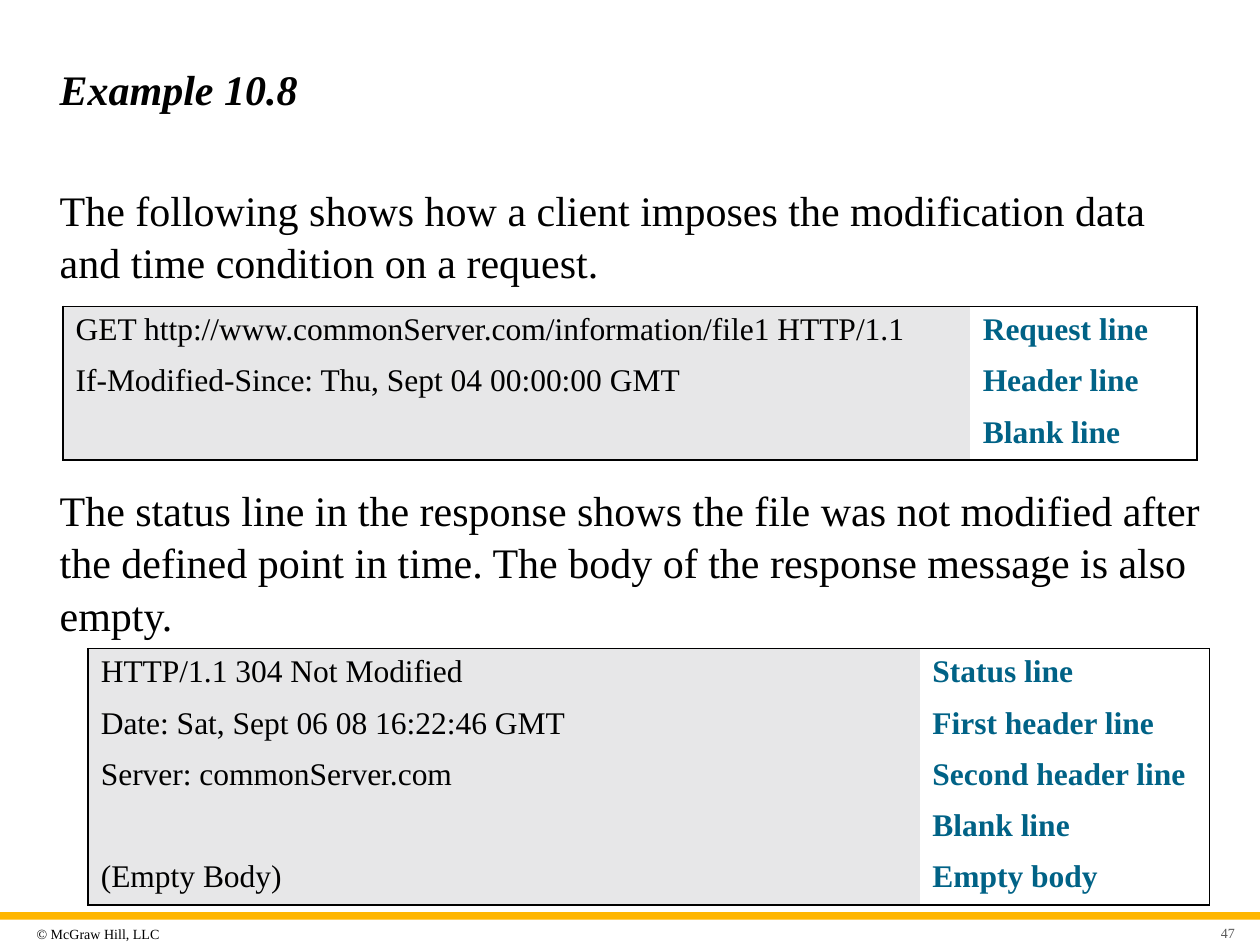
import pptx
import pptx.util
import pptx.dml.color
import pptx.enum.shapes
import pptx.enum.text
import pptx.oxml
import pptx.oxml.ns
from lxml import etree

Pt = pptx.util.Pt
ALIGN = pptx.enum.text.PP_ALIGN
ANCHOR = pptx.enum.text.MSO_ANCHOR
qn = pptx.oxml.ns.qn

FONT = "Times New Roman"
COLORS = {"text": "000000", "label": "006286", "code": "E7E7E8",
          "bar": "FFB600", "number": "595959"}
NO_GRID_STYLE = "{2D5ABB26-0587-4C30-8999-92F81FD0307C}"
ROW_HEIGHT = 29.3

REQUEST = [
    ("GET http://www.commonServer.com/information/file1 HTTP/1.1", "Request line"),
    ("If-Modified-Since: Thu, Sept 04 00:00:00 GMT", "Header line"),
    ("", "Blank line"),
]
RESPONSE = [
    ("HTTP/1.1 304 Not Modified", "Status line"),
    ("Date: Sat, Sept 06 08 16:22:46 GMT", "First header line"),
    ("Server: commonServer.com", "Second header line"),
    ("", "Blank line"),
    ("(Empty Body)", "Empty body"),
]


def rgb(name):
    return pptx.dml.color.RGBColor.from_string(COLORS[name])


def set_font(p, size, color="text", bold=False, italic=False):
    f = p.font
    f.name, f.size, f.bold, f.italic = FONT, Pt(size), bold, italic
    f.color.rgb = rgb(color)


def add_text(slide, box, text, size, color="text", bold=False, italic=False,
             anchor=ANCHOR.TOP, align=ALIGN.LEFT, margins=None, spacing=None,
             wrap=True):
    tf = slide.shapes.add_textbox(*map(Pt, box)).text_frame
    tf.word_wrap = wrap
    tf.vertical_anchor = anchor
    if margins:
        (tf.margin_left, tf.margin_top,
         tf.margin_right, tf.margin_bottom) = map(Pt, margins)
    p = tf.paragraphs[0]
    p.text = text
    p.alignment = align
    if spacing:
        p.line_spacing = spacing
    set_font(p, size, color, bold, italic)


def add_border(cell, sides):
    """Draw a 1 pt line on each named side, given in the order L, R, T, B."""
    tc_pr = cell._tc.get_or_add_tcPr()
    for side in sides:
        ln = etree.SubElement(tc_pr, qn("a:ln" + side), w=str(Pt(1)))
        fill = etree.SubElement(ln, qn("a:solidFill"))
        etree.SubElement(fill, qn("a:srgbClr"), val=COLORS["text"])


def add_message(slide, left, top, widths, lines):
    """Table of message lines on grey, each with its label, in one frame."""
    frame = slide.shapes.add_table(
        len(lines), 2, Pt(left), Pt(top), Pt(sum(widths)),
        Pt(ROW_HEIGHT * len(lines)))
    table = frame.table
    table.first_row = table.horz_banding = False
    table._tbl.tblPr.find(qn("a:tableStyleId")).text = NO_GRID_STYLE
    for column, width in zip(table.columns, widths):
        column.width = Pt(width)
    for i, line in enumerate(lines):
        table.rows[i].height = Pt(ROW_HEIGHT)
        ends = ("T" if i == 0 else "") + ("B" if i == len(lines) - 1 else "")
        for j, text in enumerate(line):
            cell = table.cell(i, j)
            add_border(cell, "LR"[j] + ends)
            p = cell.text_frame.paragraphs[0]
            p.text = text
            if j == 0:
                cell.fill.solid()
                cell.fill.fore_color.rgb = rgb("code")
                set_font(p, 18)
            else:
                cell.fill.background()
                set_font(p, 18, "label", bold=True)


def add_footer(slide, left, top, width):
    bar = slide.shapes.add_shape(pptx.enum.shapes.MSO_SHAPE.RECTANGLE,
                                 Pt(left), Pt(top), Pt(width), Pt(4.3))
    bar.shadow.inherit = False
    bar.fill.solid()
    bar.fill.fore_color.rgb = rgb("bar")
    bar.line.fill.background()
    add_text(slide, (left + 17.3, top + 3.8, 97.2, 17), "© McGraw Hill, LLC", 8,
             anchor=ANCHOR.MIDDLE, margins=(3.6,) * 4, wrap=False)
    add_text(slide, (left + width - 38.9, top + 5, 28.1, 13.3), "47", 8, "number",
             anchor=ANCHOR.MIDDLE, align=ALIGN.RIGHT, margins=(7.2, 3.6, 3.6, 3.6))


def add_example(slide, left, top, width):
    add_text(slide, (left, top, width, 53.3), "Example 10.8", 24, bold=True,
             italic=True, anchor=ANCHOR.MIDDLE)
    add_text(slide, (left, top + 77, width, 65.5),
             "The following shows how a client imposes the modification data "
             "and time condition on a request.", 24, spacing=1.04)
    add_message(slide, left + 9, top + 151.2, (518.4, 129.6), REQUEST)
    add_text(slide, (left, top + 248.4, width, 89.3),
             "The status line in the response shows the file was not modified "
             "after the defined point in time. The body of the response message "
             "is also empty.", 24, spacing=1.04)
    add_message(slide, left + 23.4, top + 346.8, (475.2, 165.6), RESPONSE)


def main():
    prs = pptx.Presentation()
    prs.slide_width, prs.slide_height = Pt(720), Pt(540)
    slide = prs.slides.add_slide(prs.slide_layouts[6])
    add_footer(slide, 0, 521.3, 720)
    add_example(slide, 27, 23.8, 666)
    prs.save("out.pptx")


if __name__ == "__main__":
    main()
